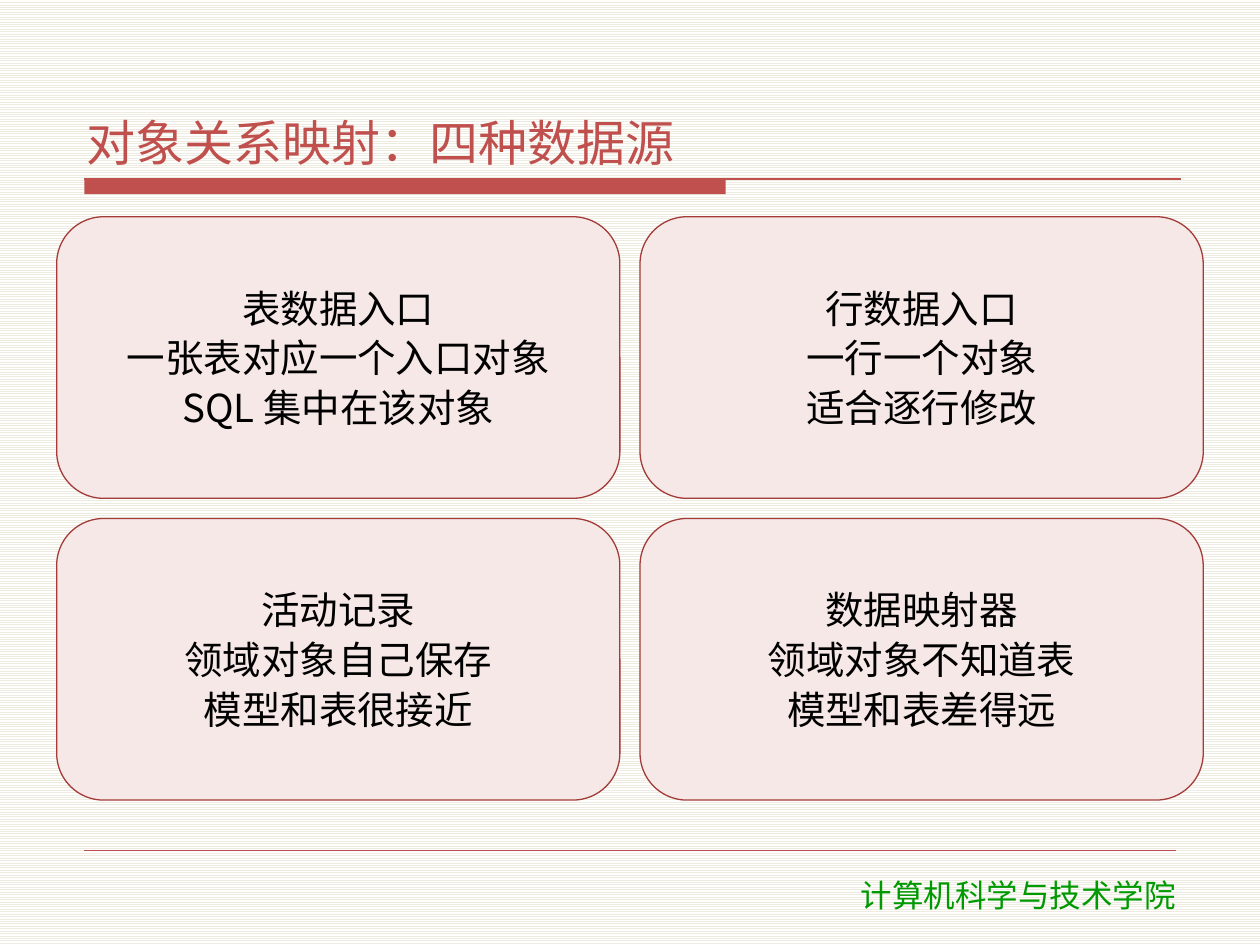
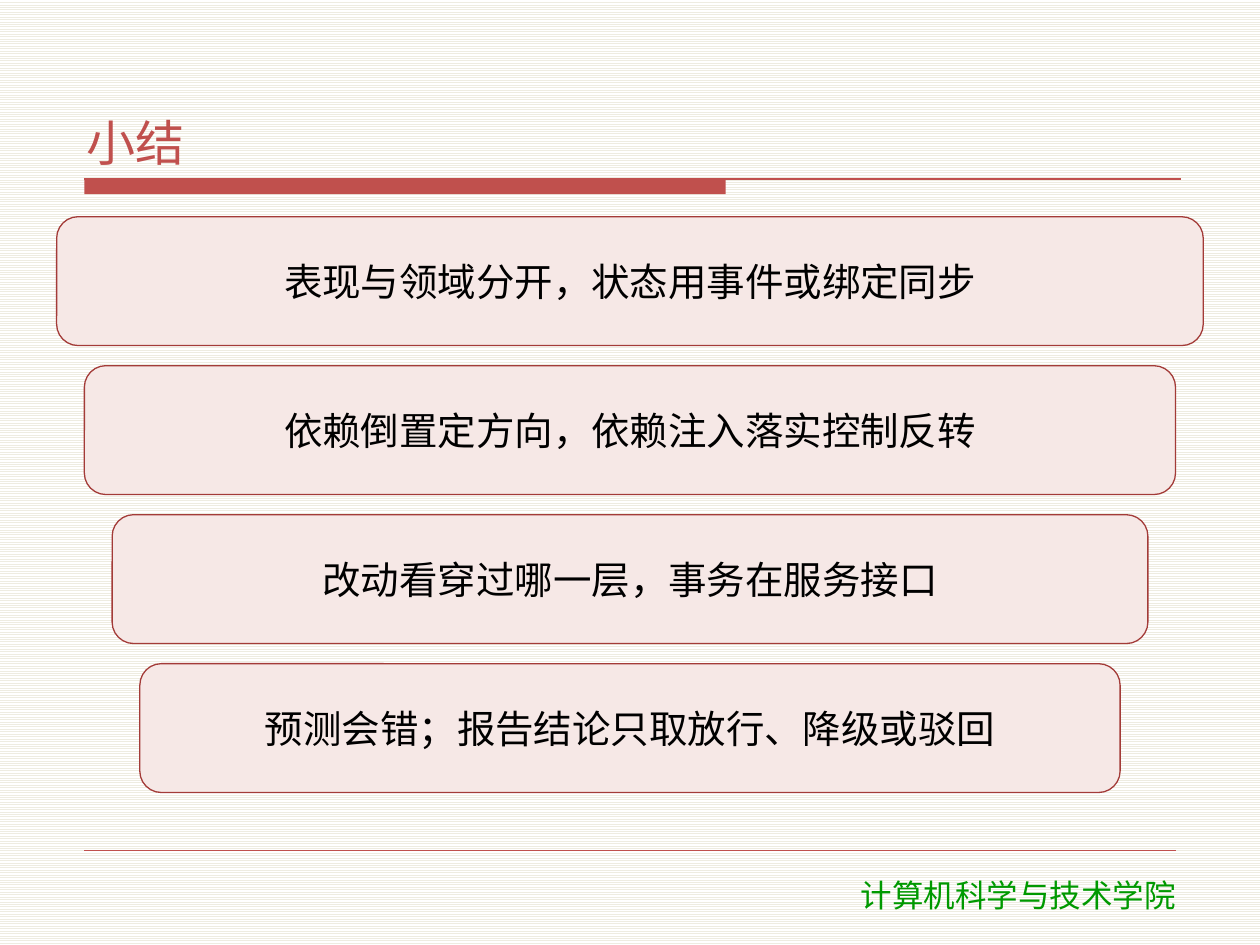
from dataclasses import dataclass

from pptx import Presentation
from pptx.dml.color import RGBColor
from pptx.enum.dml import MSO_PATTERN
from pptx.enum.shapes import MSO_CONNECTOR, MSO_SHAPE
from pptx.enum.text import MSO_ANCHOR, MSO_AUTO_SIZE, PP_ALIGN
from pptx.oxml.ns import qn
from pptx.util import Inches, Pt

LIGHT_HORIZONTAL = MSO_PATTERN.LIGHT_HORIZONTAL
STRAIGHT = MSO_CONNECTOR.STRAIGHT
RECT, ROUND_RECT = MSO_SHAPE.RECTANGLE, MSO_SHAPE.ROUNDED_RECTANGLE
MIDDLE, BOTTOM, TOP = MSO_ANCHOR.MIDDLE, MSO_ANCHOR.BOTTOM, MSO_ANCHOR.TOP
LEFT, CENTER = PP_ALIGN.LEFT, PP_ALIGN.CENTER


@dataclass(frozen=True)
class Theme:
    accent: RGBColor = RGBColor(0xC0, 0x50, 0x4D)
    card_fill: RGBColor = RGBColor(0xF6, 0xE8, 0xE6)
    card_line: RGBColor = RGBColor(0xA3, 0x3B, 0x38)
    body: RGBColor = RGBColor(0, 0, 0)
    footer: RGBColor = RGBColor(0x00, 0x99, 0x00)
    stripe: RGBColor = RGBColor(0xEE, 0xEC, 0xE1)
    paper: RGBColor = RGBColor(0xFF, 0xFF, 0xFF)
    font: str = "Noto Sans CJK SC"
    footer_font: str = "DejaVu Sans"
    title_size: int = 28
    body_size: int = 22
    footer_size: int = 18


THEME = Theme()

# Boxes are left, top, width, height in inches
TITLE_BOX = (0.63, 0.33, 8.75, 1.05)
RULE_BOX = (0.67, 1.42, 8.7, 0.12)
RULE_BAR_WIDTH = 5.09
FOOTER_LINE = (0.67, 6.75, 8.66)
FOOTER_BOX = (6.07, 6.9, 4.02, 0.4)
GRID_BOX = (0.45, 1.72, 9.1, 4.63)
STEPS_BOX = (0.45, 1.72, 9.1, 4.57)
GAP = 0.16
STEP_INDENT = 0.22

FOOTER = "计算机科学与技术学院"
DATA_SOURCES = [
    ["表数据入口", "一张表对应一个入口对象", "SQL 集中在该对象"],
    ["行数据入口", "一行一个对象", "适合逐行修改"],
    ["活动记录", "领域对象自己保存", "模型和表很接近"],
    ["数据映射器", "领域对象不知道表", "模型和表差得远"],
]
CONCLUSIONS = [
    "表现与领域分开，状态用事件或绑定同步",
    "依赖倒置定方向，依赖注入落实控制反转",
    "改动看穿过哪一层，事务在服务接口",
    "预测会错；报告结论只取放行、降级或驳回",
]


def inches(box):
    return [Inches(v) for v in box]


def write(tf, lines, size, color, font=THEME.font, align=LEFT, anchor=TOP,
          after=2):
    tf.word_wrap = True
    tf.vertical_anchor = anchor
    for i, line in enumerate(lines):
        p = tf.paragraphs[0] if i == 0 else tf.add_paragraph()
        p.alignment = align
        p.space_after = Pt(after)
        r = p.add_run()
        r.text = line
        r.font.size = Pt(size)
        r.font.color.rgb = color
        r.font.name = font
        # Chinese characters take the East Asian font
        ea = r.font._element.makeelement(qn("a:ea"), {"typeface": font})
        r.font._element.append(ea)


def tighten(tf):
    tf.margin_left = tf.margin_right = Inches(0.06)
    tf.margin_top = tf.margin_bottom = Inches(0.02)


def add_line(s, x, y, width, weight):
    line = s.shapes.add_connector(STRAIGHT, *inches((x, y, x + width, y)))
    line.line.color.rgb = THEME.accent
    line.line.width = Pt(weight)
    sp_pr = line._element.spPr
    sp_pr.append(sp_pr.makeelement(qn("a:effectLst"), {}))


def add_title(s, box, text):
    tf = s.shapes.add_textbox(*inches(box)).text_frame
    tighten(tf)
    write(tf, [text], THEME.title_size, THEME.accent, anchor=BOTTOM)


def add_title_rule(s, box):
    x, y, width, height = box
    bar = s.shapes.add_shape(RECT, *inches((x, y, RULE_BAR_WIDTH, height)))
    bar.shadow.inherit = False
    bar.fill.solid()
    bar.fill.fore_color.rgb = THEME.accent
    bar.line.fill.background()
    add_line(s, x, y, width, 0.75)


def add_footer(s, box):
    add_line(s, *FOOTER_LINE, 0.25)
    tf = s.shapes.add_textbox(*inches(box)).text_frame
    write(tf, [FOOTER], THEME.footer_size, THEME.footer, THEME.footer_font,
          CENTER, after=0)
    tf.auto_size = MSO_AUTO_SIZE.SHAPE_TO_FIT_TEXT


def add_card(s, box, lines):
    sp = s.shapes.add_shape(ROUND_RECT, *inches(box))
    sp.shadow.inherit = False
    sp.fill.solid()
    sp.fill.fore_color.rgb = THEME.card_fill
    sp.line.color.rgb = THEME.card_line
    sp.line.width = Pt(0.75)
    tighten(sp.text_frame)
    write(sp.text_frame, lines, THEME.body_size, THEME.body,
          align=CENTER, anchor=MIDDLE)


def add_card_grid(s, box, cards, cols=2):
    x, y, width, height = box
    rows = len(cards) // cols
    w = (width - GAP * (cols - 1)) / cols
    h = (height - GAP * (rows - 1)) / rows
    for i, lines in enumerate(cards):
        row, col = divmod(i, cols)
        add_card(s, (x + col * (w + GAP), y + row * (h + GAP), w, h), lines)


def add_narrowing_steps(s, box, steps):
    x, y, width, height = box
    h = (height - GAP * (len(steps) - 1)) / len(steps)
    for i, text in enumerate(steps):
        inset = i * STEP_INDENT
        add_card(s, (x + inset, y + i * (h + GAP), width - 2 * inset, h),
                 [text])


def add_base_slide(prs, title):
    s = prs.slides.add_slide(prs.slide_layouts[6])
    # Striped paper background
    fill = s.background.fill
    fill.patterned()
    fill.pattern = LIGHT_HORIZONTAL
    fill.fore_color.rgb = THEME.stripe
    fill.back_color.rgb = THEME.paper
    # Shared frame
    add_title_rule(s, RULE_BOX)
    add_footer(s, FOOTER_BOX)
    add_title(s, TITLE_BOX, title)
    return s


def main():
    prs = Presentation()
    prs.slide_width, prs.slide_height = Inches(10), Inches(7.5)

    # Four data source patterns
    s = add_base_slide(prs, "对象关系映射：四种数据源")
    add_card_grid(s, GRID_BOX, DATA_SOURCES)

    # Summary
    s = add_base_slide(prs, "小结")
    add_narrowing_steps(s, STEPS_BOX, CONCLUSIONS)

    prs.save("out.pptx")


if __name__ == "__main__":
    main()
